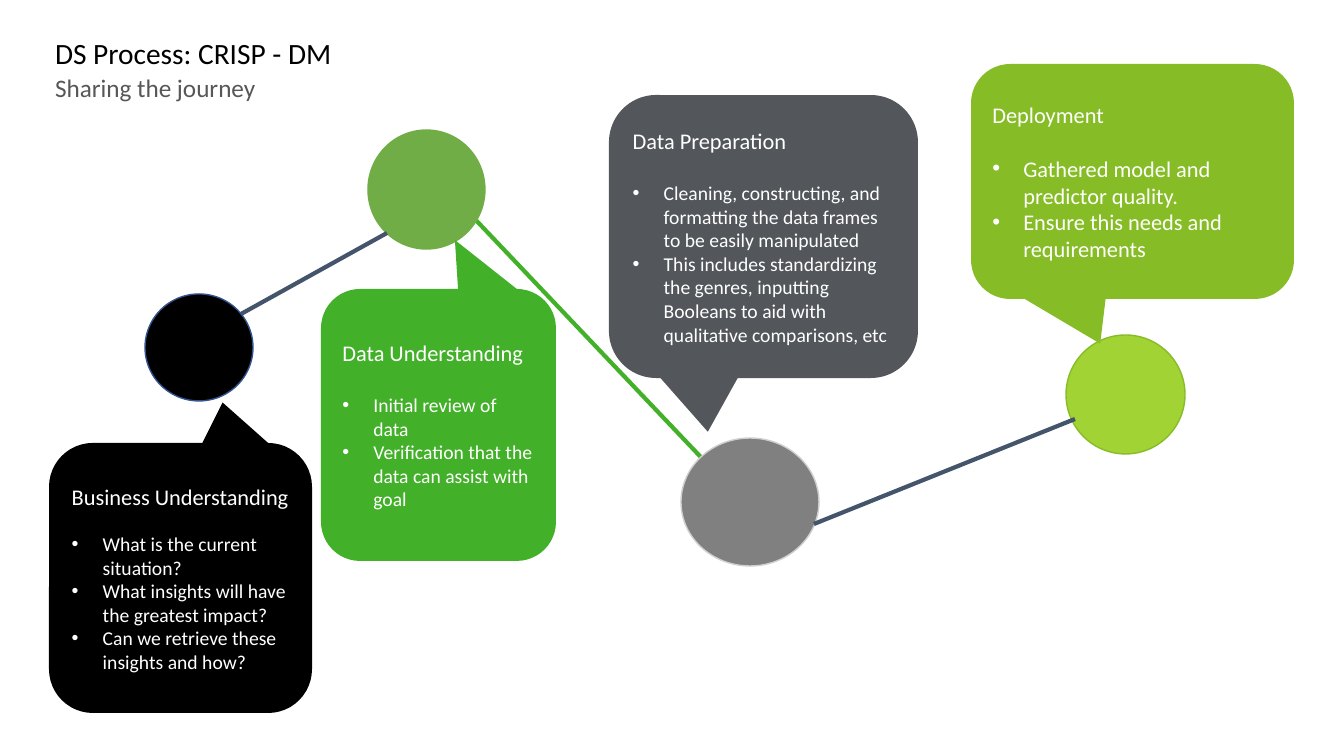
from dataclasses import dataclass
from lxml.etree import SubElement
from pptx import Presentation
from pptx.dml.color import RGBColor
from pptx.enum.shapes import MSO_CONNECTOR, MSO_SHAPE
from pptx.enum.text import MSO_ANCHOR, PP_ALIGN
from pptx.oxml.ns import qn
from pptx.util import Pt


@dataclass(frozen=True)
class Theme:
    font: str = "Calibri"
    title: int = 21
    subtitle: int = 18
    heading: int = 16
    bullet: int = 14
    black: str = "000000"
    white: str = "FFFFFF"
    muted: str = "575757"
    slate: str = "53565A"
    grey: str = "808080"
    pale: str = "D0CECE"
    navy: str = "44546A"
    blue: str = "325491"
    green: str = "43B02A"
    leaf: str = "70AD47"
    lime: str = "86BC25"
    bright: str = "A2D335"


THEME = Theme()
PAGE = (1344, 756)
SCALE = 12192000 / PAGE[0]
BULLET_INDENT = 31

# Content: titles are (text, top, size, colour)
TITLES = [
    ("Sharing the journey", 72, THEME.subtitle, THEME.muted),
    ("DS Process: CRISP - DM", 35, THEME.title, THEME.black),
]

# Journey from back to front: links are (from, to, colour), stops are (box, fill, line)
UNDERSTANDING_LINK = ((473, 217), (715, 472), THEME.green)
STOPS = [
    ((1066, 335, 119, 119), THEME.bright, THEME.lime),
    ((681, 438, 138, 128), THEME.grey, THEME.pale),
    ((368, 130, 117, 119), THEME.leaf, THEME.leaf),
]
FRONT_LINKS = [
    ((814, 524), (1075, 419), THEME.navy),
    ((232, 319), (387, 233), THEME.navy),
]
FIRST_STOP = ((145, 294, 108, 107), THEME.black, THEME.blue)

# Tip is the callout's pointer, as a share of its size from its centre
CALLOUTS = [
    dict(heading="Data Preparation", box=(609, 95, 309, 283), tip=(-0.18, 0.69),
         fill=THEME.slate, size=THEME.bullet, gap=19.5, bullets=[
             "Cleaning, constructing, and formatting the data frames to be easily manipulated",
             "This includes standardizing the genres, inputting Booleans to aid with "
             "qualitative comparisons, etc"]),
    dict(heading="Deployment", box=(971, 64, 323, 235), tip=(-0.1, 0.69),
         fill=THEME.lime, size=THEME.heading, gap=19.5, bullets=[
             "Gathered model and predictor quality.",
             "Ensure this needs and requirements"]),
    dict(heading="Business Understanding", box=(49, 443, 263, 270), tip=(0.16, -0.65),
         fill=THEME.black, size=THEME.bullet, gap=16, bullets=[
             "What is the current situation?",
             "What insights will have the greatest impact?",
             "Can we retrieve these insights and how?"]),
    dict(heading="Data Understanding", box=(321, 289, 235, 272), tip=(0.07, -0.68),
         fill=THEME.green, size=THEME.bullet, gap=19.5, bullets=[
             "Initial review of data",
             "Verification that the data can assist with goal"]),
]


def px(*lengths):
    return [round(length * SCALE) for length in lengths]


def write(para, text, size, color, bullet=False, before=0):
    para.alignment = PP_ALIGN.LEFT
    if before:
        para.space_before = Pt(before)
    if bullet:
        props = para._p.get_or_add_pPr()
        indent = px(BULLET_INDENT)[0]
        props.set("marL", str(indent))
        props.set("indent", str(-indent))
        SubElement(props, qn("a:buFont"), typeface="Arial")
        SubElement(props, qn("a:buChar"), char="•")
    span = para.add_run()
    span.text = text
    span.font.name = THEME.font
    span.font.size = Pt(size)
    span.font.color.rgb = RGBColor.from_string(color)


def add_shape(page, kind, box, fill, line=None):
    shape = page.shapes.add_shape(kind, *px(*box))
    shape.shadow.inherit = False
    shape.fill.solid()
    shape.fill.fore_color.rgb = RGBColor.from_string(fill)
    if line:
        shape.line.color.rgb = RGBColor.from_string(line)
        shape.line.width = Pt(1)
    else:
        shape.line.fill.background()
    return shape


def add_stop(page, box, fill, line):
    add_shape(page, MSO_SHAPE.FLOWCHART_CONNECTOR, box, fill, line)


def add_link(page, start, end, color):
    link = page.shapes.add_connector(MSO_CONNECTOR.STRAIGHT, *px(*start, *end))
    link.line.color.rgb = RGBColor.from_string(color)
    link.line.width = Pt(3)
    SubElement(link._element.spPr, qn("a:effectLst"))


def add_callout(page, heading, box, tip, fill, size, gap, bullets):
    shape = add_shape(page, MSO_SHAPE.ROUNDED_RECTANGULAR_CALLOUT, box, fill)
    shape.adjustments[0], shape.adjustments[1] = tip
    frame = shape.text_frame
    frame.word_wrap = True
    frame.vertical_anchor = MSO_ANCHOR.MIDDLE
    write(frame.paragraphs[0], heading, THEME.heading, THEME.white)
    for number, text in enumerate(bullets):
        write(frame.add_paragraph(), text, size, THEME.white,
              bullet=True, before=0 if number else gap)


def add_title(page, text, top, size, color):
    frame = page.shapes.add_textbox(*px(55, top, 1234, 37)).text_frame
    frame.word_wrap = True
    frame.margin_left = frame.margin_right = frame.margin_top = frame.margin_bottom = 0
    write(frame.paragraphs[0], text, size, color)


def main():
    deck = Presentation()
    deck.slide_width, deck.slide_height = px(*PAGE)
    page = deck.slides.add_slide(deck.slide_layouts[6])

    # Journey
    add_link(page, *UNDERSTANDING_LINK)
    for stop in STOPS:
        add_stop(page, *stop)
    for link in FRONT_LINKS:
        add_link(page, *link)
    add_stop(page, *FIRST_STOP)

    # Callouts and titles
    for callout in CALLOUTS:
        add_callout(page, **callout)
    for title in TITLES:
        add_title(page, *title)
    deck.save("out.pptx")


if __name__ == "__main__":
    main()
